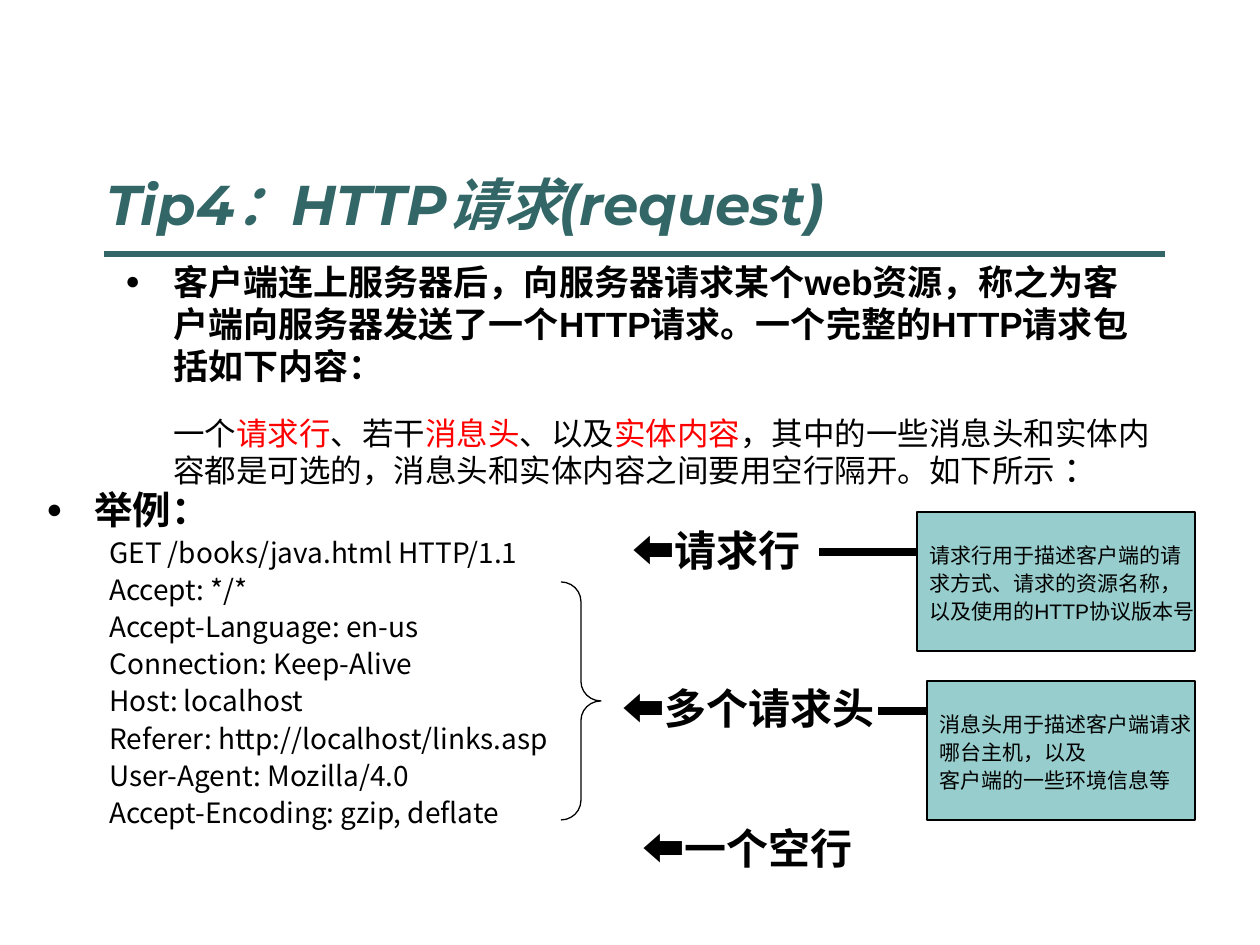
from dataclasses import dataclass

from lxml.etree import SubElement
from pptx import Presentation
from pptx.dml.color import RGBColor
from pptx.enum.shapes import MSO_CONNECTOR as CONN, MSO_SHAPE as SHAPE
from pptx.enum.text import MSO_ANCHOR as ANCHOR, PP_ALIGN as ALIGN
from pptx.oxml.ns import qn
from pptx.util import Emu, Pt

SCALE = 914400 / 126
BLACK, RED, TEAL, AQUA = "000000", "FF0000", "336666", "97CDCC"
ARIAL, NOTO, MONT = "Arial", "Noto Sans CJK SC", "Montserrat"


@dataclass
class Run:
    text: str
    size: int
    font: str = ARIAL
    color: str = BLACK
    bold: bool = False
    italic: bool = False


@dataclass
class Para:
    runs: list[Run]
    line: float | None = None
    before: float = 0
    after: float = 0
    left: int = 0
    indent: int = 0
    bullet: bool = False


@dataclass
class Label:
    text: str
    x: int
    y: int
    w: int


@dataclass
class Callout:
    lines: list[str]
    x: int
    y: int
    w: int
    line_x: int
    line_y: int


def px(n: int) -> Emu:
    return Emu(round(n * SCALE))


def rgb(color: str) -> RGBColor:
    return RGBColor.from_string(color)


def add_bullet(p) -> None:
    pPr = p._p.get_or_add_pPr()
    clr = SubElement(pPr, qn("a:buClr"))
    SubElement(clr, qn("a:srgbClr"), val=BLACK)
    SubElement(pPr, qn("a:buSzPct"), val="70000")
    SubElement(pPr, qn("a:buFont"), typeface=ARIAL)
    SubElement(pPr, qn("a:buChar"), char="●")


def write(tf, paras: list[Para]) -> None:
    for i, para in enumerate(paras):
        p = tf.paragraphs[0] if i == 0 else tf.add_paragraph()
        p.alignment = ALIGN.LEFT
        if para.line:
            p.line_spacing = Pt(para.line)
        p.space_before = Pt(para.before)
        p.space_after = Pt(para.after)
        pPr = p._p.get_or_add_pPr()
        pPr.set("marL", str(px(para.left)))
        pPr.set("indent", str(px(para.indent)))
        if para.bullet:
            add_bullet(p)
        for run in para.runs:
            r = p.add_run()
            r.text = run.text
            r.font.size = Pt(run.size)
            r.font.name = run.font
            r.font.bold = run.bold
            r.font.italic = run.italic
            r.font.color.rgb = rgb(run.color)
            SubElement(r._r.get_or_add_rPr(), qn("a:ea"), typeface=NOTO)


def add_text(s, x: int, y: int, w: int, h: int, paras: list[Para],
             wrap: bool = True, anchor=ANCHOR.TOP) -> None:
    tf = s.shapes.add_textbox(px(x), px(y), px(w), px(h)).text_frame
    tf.word_wrap = wrap
    tf.vertical_anchor = anchor
    write(tf, paras)


def add_line(s, x1: int, x2: int, y: int, color: str, width: float) -> None:
    sp = s.shapes.add_connector(CONN.STRAIGHT, px(x1), px(y), px(x2), px(y))
    sp.line.color.rgb = rgb(color)
    sp.line.width = Pt(width)
    SubElement(sp._element.spPr, qn("a:effectLst"))


def add_shape(s, kind, x: int, y: int, w: int, h: int, fill: str | None = None):
    sp = s.shapes.add_shape(kind, px(x), px(y), px(w), px(h))
    sp.shadow.inherit = False
    if fill:
        sp.fill.solid()
        sp.fill.fore_color.rgb = rgb(fill)
    else:
        sp.fill.background()
    sp.line.color.rgb = rgb(BLACK)
    sp.line.width = Pt(0.75)
    return sp


def add_callout(s, c: Callout) -> None:
    sp = add_shape(s, SHAPE.RECTANGLE, c.x, c.y, c.w, 139, AQUA)
    tf = sp.text_frame
    tf.word_wrap = False
    tf.vertical_anchor = ANCHOR.MIDDLE
    write(tf, [Para([Run(t, 12)], line=16, left=48, indent=-48) for t in c.lines])
    add_line(s, c.line_x, c.x, c.line_y, BLACK, 4.5)


REQUEST = [
    "GET /books/java.html HTTP/1.1",
    "Accept: */*",
    "Accept-Language: en-us",
    "Connection: Keep-Alive",
    "Host: localhost",
    "Referer: http://localhost/links.asp",
    "User-Agent: Mozilla/4.0",
    "Accept-Encoding: gzip, deflate",
]
INTRO = "客户端连上服务器后，向服务器请求某个web资源，称之为客户端向服务器发送了一个HTTP请求。一个完整的HTTP请求包括如下内容："
PARTS = [
    ("一个", BLACK), ("请求行", RED), ("、若干", BLACK), ("消息头", RED),
    ("、以及", BLACK), ("实体内容", RED),
    ("，其中的一些消息头和实体内容都是可选的，消息头和实体内容之间要用空行隔开。如下所示", BLACK),
]
LABELS = [
    Label("⬅请求行", 620, 522, 218),
    Label("⬅多个请求头", 610, 680, 297),
    Label("⬅一个空行", 630, 820, 248),
]
CALLOUTS = [
    Callout(["请求行用于描述客户端的请", "求方式、请求的资源名称，", "以及使用的HTTP协议版本号"],
            917, 512, 278, 819, 552),
    Callout(["消息头用于描述客户端请求", "哪台主机，以及", "客户端的一些环境信息等"],
            927, 681, 268, 878, 711),
]


def main() -> None:
    prs = Presentation()
    prs.slide_width, prs.slide_height = px(1260), px(945)
    s = prs.slides.add_slide(prs.slide_layouts[6])

    add_line(s, 104, 1165, 254, TEAL, 3)
    title = Run("Tip4：HTTP请求(request)", 32, MONT, TEAL, True, True)
    add_text(s, 94, 45, 1061, 198, [Para([title])], anchor=ANCHOR.BOTTOM)

    heading = Para([Run("举例：", 22, bold=True)], line=24.5,
                   left=48, indent=-48, bullet=True)
    code = [Para([Run(t, 16, NOTO)], line=21.2, left=63) for t in REQUEST]
    add_text(s, 34, 483, 1012, 397, [heading, *code])

    intro = Para([Run(INTRO, 20, bold=True)], line=24, after=5,
                 left=48, indent=-48, bullet=True)
    parts = [Run(t, 18, NOTO, color) for t, color in PARTS]
    detail = Para([*parts, Run(" ：", 20)], line=21.6, before=11, left=48)
    add_text(s, 113, 254, 1052, 242, [intro, detail])

    brace = add_shape(s, SHAPE.RIGHT_BRACE, 561, 582, 40, 238)
    brace.adjustments[0] = 0.49

    for label in LABELS:
        add_text(s, label.x, label.y, label.w, 58,
                 [Para([Run(label.text, 24, bold=True)], line=26.5)], wrap=False)
    for callout in CALLOUTS:
        add_callout(s, callout)

    prs.save("out.pptx")


if __name__ == "__main__":
    main()
